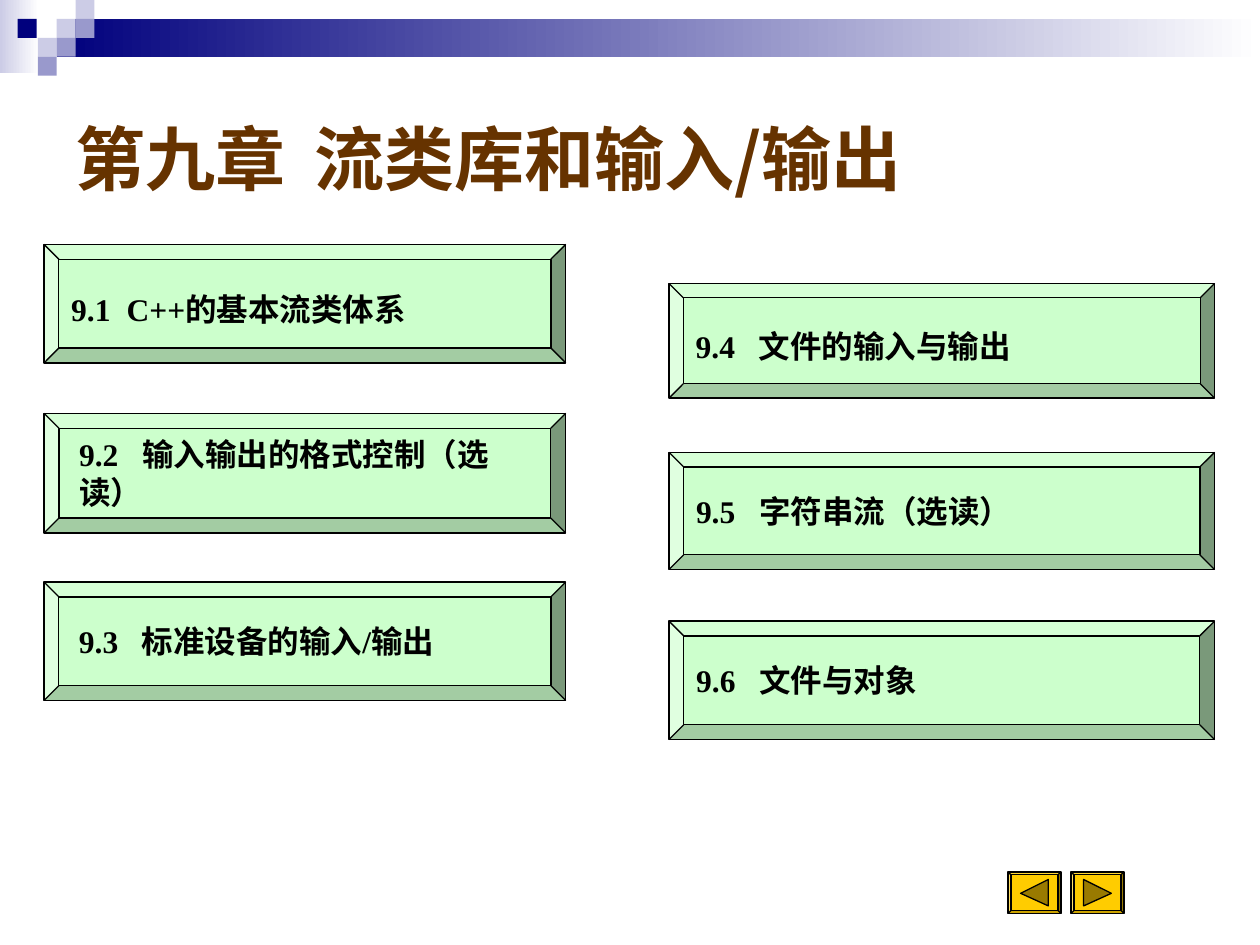
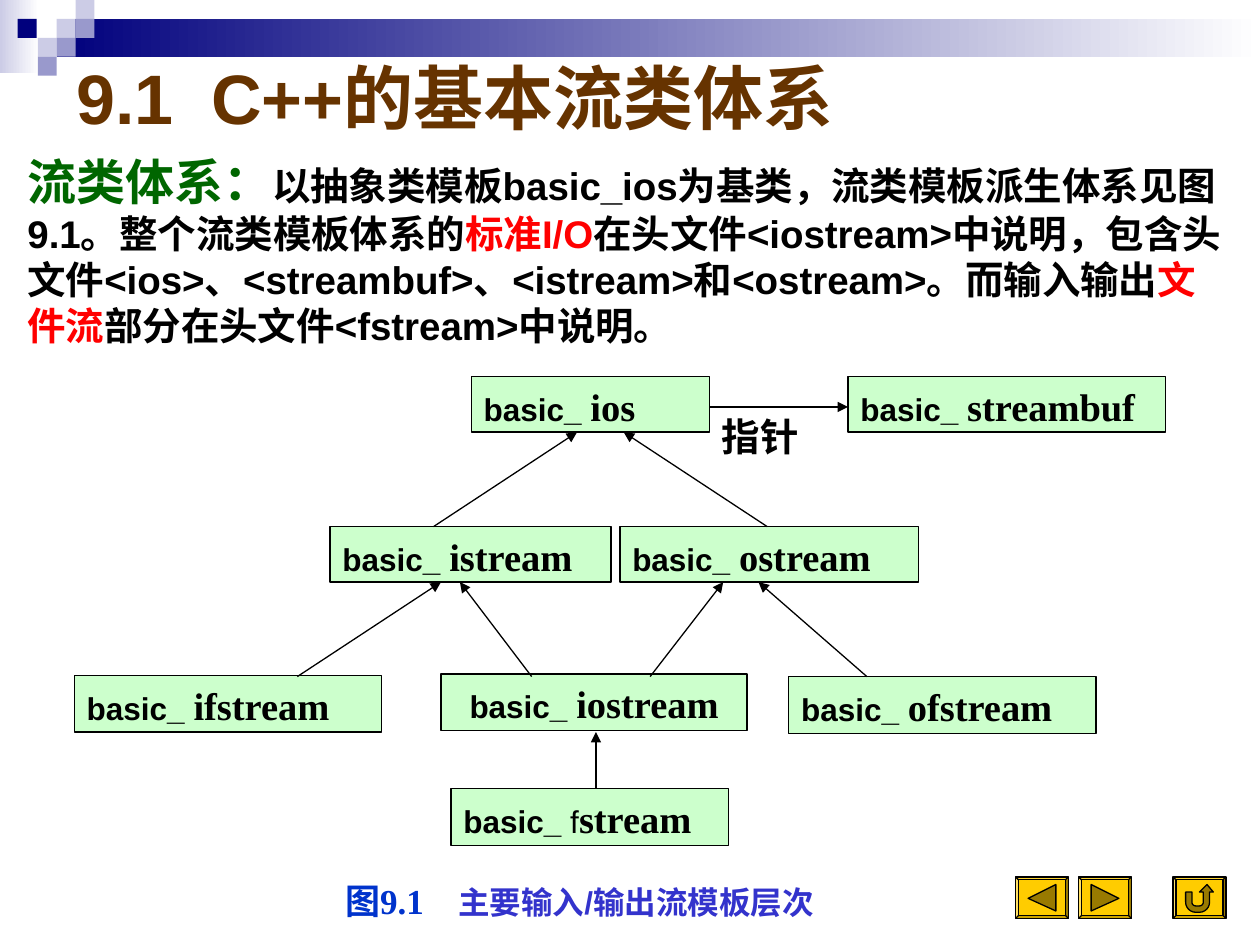
from dataclasses import dataclass
from math import cos, radians, sin

from lxml import etree
from pptx import Presentation
from pptx.dml.color import RGBColor
from pptx.enum.shapes import MSO_CONNECTOR, MSO_SHAPE
from pptx.enum.text import MSO_ANCHOR, PP_ALIGN
from pptx.oxml.ns import qn
from pptx.util import Emu, Pt

PX = 9144

WHITE = RGBColor(0xFF, 0xFF, 0xFF)
BLACK = RGBColor(0x00, 0x00, 0x00)
NAVY = RGBColor(0x00, 0x00, 0x7D)
LILAC = RGBColor(0xCC, 0xCC, 0xE6)
VIOLET = RGBColor(0x99, 0x99, 0xCC)
BROWN = RGBColor(0x66, 0x33, 0x00)
MINT = RGBColor(0xCC, 0xFF, 0xCC)
GREEN = RGBColor(0x00, 0x66, 0x00)
RED = RGBColor(0xFF, 0x00, 0x00)
BLUE = RGBColor(0x00, 0x33, 0xCC)
INDIGO = RGBColor(0x33, 0x33, 0xCC)
GOLD = RGBColor(0xFF, 0xCC, 0x00)
DARK_GOLD = RGBColor(0x99, 0x7A, 0x00)

SANS, SERIF, CJK = "Arial", "Times New Roman", "Noto Sans CJK SC"
RECT, BEVEL = MSO_SHAPE.RECTANGLE, MSO_SHAPE.BEVEL
STRAIGHT = MSO_CONNECTOR.STRAIGHT
TOP, MIDDLE = MSO_ANCHOR.TOP, MSO_ANCHOR.MIDDLE
LEFT, CENTER = PP_ALIGN.LEFT, PP_ALIGN.CENTER


@dataclass(frozen=True)
class Box:
    """A rectangle in px."""
    x: int
    y: int
    w: int
    h: int

    def emu(self) -> tuple:
        """Return left, top, width and height in EMU."""
        return tuple(Emu(v * PX) for v in (self.x, self.y, self.w, self.h))


@dataclass(frozen=True)
class Run:
    """A piece of text with one format."""
    text: str
    size: int
    font: str = SANS
    color: RGBColor = BLACK
    bold: bool = True


@dataclass(frozen=True)
class Section:
    """A chapter button with its tab stop and inset adjustments."""
    box: Box
    text: str
    tab: int = 50
    indent: int = 0
    drop: int = 0


@dataclass(frozen=True)
class ClassBox:
    """A stream class in the hierarchy."""
    box: Box
    runs: tuple
    align: PP_ALIGN = LEFT


SQUARES = (
    (45, 15, LILAC), (60, 0, LILAC), (60, 15, VIOLET), (30, 30, LILAC),
    (14, 15, NAVY), (45, 30, VIOLET), (30, 45, VIOLET),
)

SECTIONS = (
    Section(Box(35, 194, 414, 94), "9.1\tC++的基本流类体系", tab=44, drop=8),
    Section(Box(35, 328, 414, 95), "9.2\t输入输出的格式控制（选读）", indent=6),
    Section(Box(35, 462, 414, 94), "9.3\t标准设备的输入/输出", indent=6),
    Section(Box(531, 225, 433, 91), "9.4\t文件的输入与输出", drop=8),
    Section(Box(531, 359, 433, 93), "9.5\t字符串流（选读）"),
    Section(Box(531, 493, 433, 94), "9.6\t文件与对象"),
)


def stream(name: str) -> tuple:
    """Return the runs of a class name with its common prefix."""
    return Run("basic_ ", 18), Run(name, 22, SERIF)


CLASSES = (
    ClassBox(Box(374, 299, 189, 44), stream("ios")),
    ClassBox(Box(673, 299, 252, 44), stream("streambuf")),
    ClassBox(Box(262, 418, 223, 44), stream("istream")),
    ClassBox(Box(492, 418, 237, 44), stream("ostream")),
    ClassBox(Box(59, 536, 244, 45), stream("ifstream")),
    ClassBox(Box(350, 535, 243, 45), stream("iostream"), CENTER),
    ClassBox(Box(626, 537, 244, 45), stream("ofstream")),
    ClassBox(Box(358, 626, 220, 45),
             (Run("basic_", 18), Run(" f", 18, bold=False), Run("stream", 22, SERIF))),
)

ARROWS = (
    (563, 323, 673, 323), (344, 418, 458, 343), (609, 418, 495, 343),
    (236, 537, 350, 462), (422, 537, 365, 462), (516, 537, 574, 462),
    (688, 537, 602, 462), (473, 626, 473, 581),
)

BODY = (
    Run("流类体系：", 28, color=GREEN),
    Run("以抽象类模板basic_ios为基类，流类模板派生体系见图9.1。整个流类模板体系的", 22),
    Run("标准I/O", 22, color=RED),
    Run("在头文件<iostream>中说明，包含头文件<ios>、<streambuf>、<istream>和<ostream>。"
        "而输入输出", 22),
    Run("文件流", 22, color=RED),
    Run("部分在头文件<fstream>中说明。", 22),
)


def arc(cx: int, cy: int, radius: int, start: int, end: int) -> list:
    """Return points along an arc given in degrees."""
    step = 15 if end > start else -15
    return [(cx + radius * cos(radians(a)), cy + radius * sin(radians(a)))
            for a in range(start, end + step, step)]


BACK_ICON = [(10, 17), (32, 6), (32, 27)]
NEXT_ICON = [(10, 6), (32, 17), (10, 27)]
RETURN_ICON = [
    (10, 12), (15, 12), *arc(18, 20, 3, 180, 90), *arc(21, 20, 3, 90, 0),
    (24, 12), (21, 12), (27, 6), (32, 12), (29, 12),
    *arc(21, 20, 8, 0, 90), *arc(18, 20, 8, 90, 180),
]


def paint(sp, fill: RGBColor, outlined: bool = True) -> None:
    """Give a shape a flat fill and an optional thin black line."""
    sp.shadow.inherit = False
    sp.fill.solid()
    sp.fill.fore_color.rgb = fill
    if outlined:
        sp.line.color.rgb = BLACK
        sp.line.width = Pt(0.75)
    else:
        sp.line.fill.background()


def add_block(s, box: Box, fill: RGBColor, kind=RECT, outlined: bool = True):
    """Add a filled preset shape."""
    sp = s.shapes.add_shape(kind, *box.emu())
    paint(sp, fill, outlined)
    return sp


def write(sp, *runs: Run, anchor=TOP, align=LEFT, tab: int = 0,
          indent: int = 0, drop: int = 0) -> None:
    """Write one paragraph of formatted runs into a shape."""
    tf = sp.text_frame
    tf.word_wrap = True
    tf.vertical_anchor = anchor
    tf.margin_left, tf.margin_right = Emu((10 + indent) * PX), Emu(10 * PX)
    tf.margin_top, tf.margin_bottom = Emu((5 + drop) * PX), Emu(5 * PX)
    p = tf.paragraphs[0]
    p.alignment = align
    if tab:
        tabs = etree.SubElement(p._p.get_or_add_pPr(), qn("a:tabLst"))
        etree.SubElement(tabs, qn("a:tab"), pos=str(tab * PX), algn="l")
    for run in runs:
        r = p.add_run()
        r.text = run.text
        r.font.size, r.font.name, r.font.bold = Pt(run.size), run.font, run.bold
        r.font.color.rgb = run.color
        etree.SubElement(r._r.get_or_add_rPr(), qn("a:ea"), typeface=CJK)


def add_text(s, box: Box, *runs: Run, **layout) -> None:
    """Add a text box."""
    write(s.shapes.add_textbox(*box.emu()), *runs, **layout)


def add_gradient(s, box: Box, color: RGBColor) -> None:
    """Add a band that fades to white on the right."""
    sp = add_block(s, box, color, outlined=False)
    sp.fill.gradient()
    sp.fill.gradient_angle = 180
    for stop, rgb in zip(sp.fill.gradient_stops, (WHITE, color)):
        stop.color.rgb = rgb


def add_arrow(s, x1: int, y1: int, x2: int, y2: int) -> None:
    """Add a thin arrow pointing at the second point."""
    cn = s.shapes.add_connector(STRAIGHT, *(Emu(v * PX) for v in (x1, y1, x2, y2)))
    cn.line.color.rgb = BLACK
    cn.line.width = Pt(0.75)
    etree.SubElement(cn.line._get_or_add_ln(), qn("a:tailEnd"), type="triangle")
    etree.SubElement(cn._element.spPr, qn("a:effectLst"))


def add_button(s, x: int, y: int, icon: list) -> None:
    """Add a gold bevelled navigation button with its icon."""
    add_block(s, Box(x, y, 42, 33), GOLD, BEVEL).adjustments[0] = 0.07
    points = [((x + px) * PX, (y + py) * PX) for px, py in icon]
    fb = s.shapes.build_freeform(*points[0])
    fb.add_line_segments(points[1:], close=True)
    paint(fb.convert_to_shape(), DARK_GOLD)


def new_slide(prs, box: Box, *title: Run, tab: int):
    """Add a slide with the shared header and a title."""
    s = prs.slides.add_slide(prs.slide_layouts[6])
    add_gradient(s, Box(0, 0, 31, 58), LILAC)
    add_gradient(s, Box(45, 15, 955, 30), NAVY)
    for x, y, color in SQUARES:
        add_block(s, Box(x, y, 15, 15), color, outlined=False)
    add_text(s, box, *title, anchor=MIDDLE, tab=tab)
    return s


def build_chapter(prs) -> None:
    """Build the chapter overview."""
    s = new_slide(prs, Box(50, 50, 900, 150),
                  Run("第九章\t流类库和输入/输出", 40, CJK, BROWN), tab=190)
    for sec in SECTIONS:
        write(add_block(s, sec.box, MINT, BEVEL), Run(sec.text, 18, SERIF),
              anchor=MIDDLE, tab=sec.tab, indent=sec.indent, drop=sec.drop)
    for x, icon in ((800, BACK_ICON), (850, NEXT_ICON)):
        add_button(s, x, 692, icon)


def build_hierarchy(prs) -> None:
    """Build the stream class hierarchy."""
    s = new_slide(prs, Box(51, 36, 900, 81), Run("9.1\tC++", 40, SANS, BROWN),
                  Run("的基本流类体系", 40, SERIF, BROWN), tab=107)
    add_text(s, Box(12, 115, 973, 167), *BODY)
    add_text(s, Box(264, 693, 410, 45), Run("图9.1\t", 20, SERIF, BLUE),
             Run("主要输入/输出流模板层次", 18, SANS, INDIGO), tab=90)
    for cls in CLASSES:
        write(add_block(s, cls.box, MINT), *cls.runs, align=cls.align)
    add_text(s, Box(563, 323, 110, 45), Run("指针", 22, SERIF))
    for ends in ARROWS:
        add_arrow(s, *ends)
    for x, icon in ((806, BACK_ICON), (856, NEXT_ICON), (931, RETURN_ICON)):
        add_button(s, x, 696, icon)


def main() -> None:
    """Build and save the presentation."""
    prs = Presentation()
    prs.slide_width, prs.slide_height = Emu(1000 * PX), Emu(750 * PX)
    build_chapter(prs)
    build_hierarchy(prs)
    prs.save("out.pptx")


if __name__ == "__main__":
    main()
